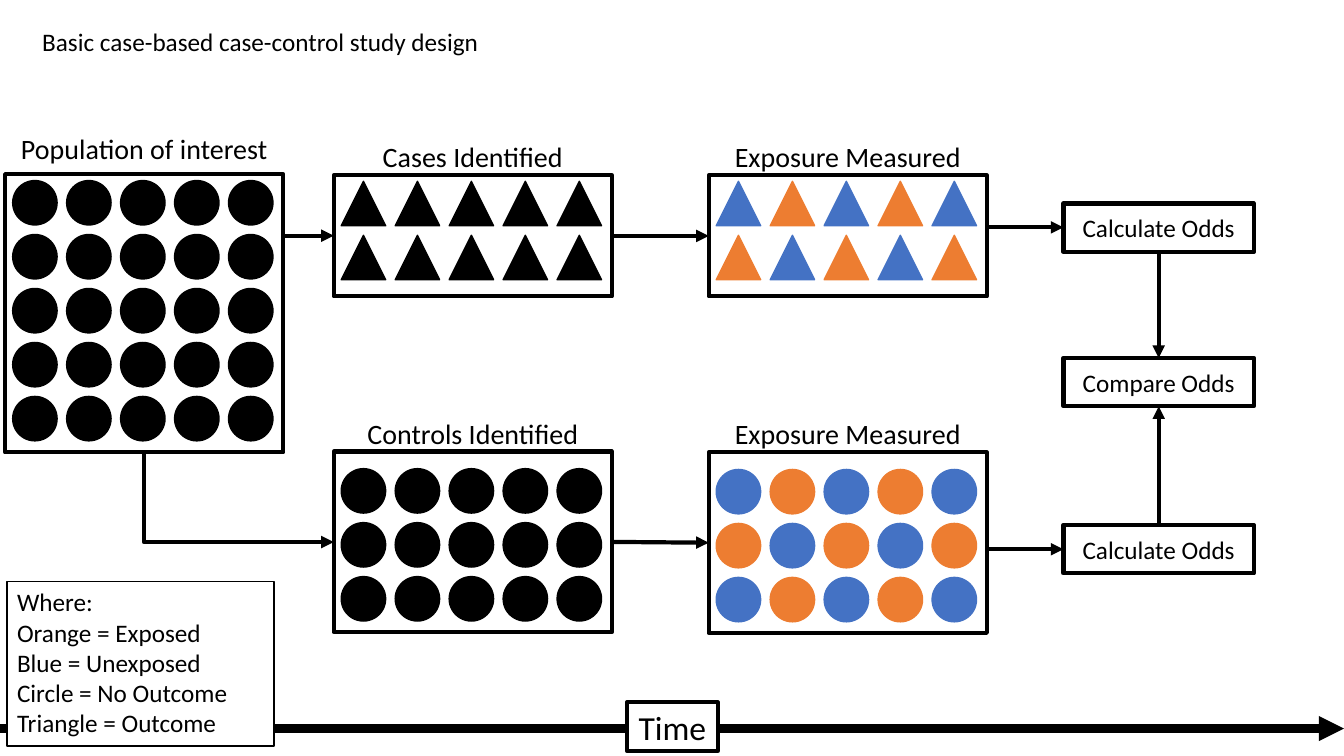
from dataclasses import dataclass
from itertools import product

from lxml import etree
from pptx import Presentation
from pptx.dml.color import RGBColor
from pptx.enum import shapes, text
from pptx.oxml import ns
from pptx.util import Cm, Pt

TOP, LEFT, BOTTOM, RIGHT = range(4)


@dataclass(frozen=True)
class Theme:
    font: str = "Calibri"
    black: RGBColor = RGBColor(0, 0, 0)
    white: RGBColor = RGBColor(255, 255, 255)
    exposed: RGBColor = RGBColor(0xED, 0x7D, 0x31)
    unexposed: RGBColor = RGBColor(0x44, 0x72, 0xC4)
    body: int = 18
    heading: int = 20
    axis: int = 24
    thin: int = 1
    frame: int = 3
    thick: int = 6


THEME = Theme()
CIRCLE = shapes.MSO_SHAPE.OVAL
TRIANGLE = shapes.MSO_SHAPE.ISOSCELES_TRIANGLE
MARK_SIZE, MARK_PITCH, MARK_INSET = 1.12, 1.36, 0.19
PANEL_WIDTH = 7.01


def write(shape, content, size=THEME.body, align=text.PP_ALIGN.CENTER,
          anchor=text.MSO_ANCHOR.MIDDLE, wrap=True):
    frame = shape.text_frame
    frame.text = content
    frame.word_wrap = wrap
    frame.auto_size = text.MSO_AUTO_SIZE.NONE
    frame.vertical_anchor = anchor
    for para in frame.paragraphs:
        para.alignment = align
        for span in para.runs:
            span.font.name = THEME.font
            span.font.size = Pt(size)
            span.font.color.rgb = THEME.black


def place(shape, left, top, width, height):
    shape.left, shape.top = Cm(left), Cm(top)
    shape.width, shape.height = Cm(width), Cm(height)


def add_shape(parent, kind, left, top, width, height,
              fill=None, line=THEME.black, weight=THEME.frame):
    shape = parent.shapes.add_shape(kind, Cm(left), Cm(top), Cm(width), Cm(height))
    shape.shadow.inherit = False
    if fill is None:
        shape.fill.background()
    else:
        shape.fill.solid()
        shape.fill.fore_color.rgb = fill
    shape.line.color.rgb = line
    shape.line.width = Pt(weight)
    return shape


def add_box(page, content, left, top, width, height, fill=None,
            weight=THEME.frame, **text_format):
    box = add_shape(page, shapes.MSO_SHAPE.RECTANGLE, left, top, width, height,
                    fill=fill, weight=weight)
    write(box, content, **text_format)
    return box


def all_black(row, column):
    return THEME.black


def alternating(row, column):
    return THEME.exposed if (row + column) % 2 else THEME.unexposed


def add_panel(page, heading, left, top, height, mark, rows, inset,
              colour=all_black, lift=1.02):
    group = page.shapes.add_group_shape()
    frame = add_shape(group, shapes.MSO_SHAPE.RECTANGLE, left, top, PANEL_WIDTH, height)
    for row, column in product(range(rows), range(5)):
        shade = colour(row, column)
        add_shape(group, mark, left + MARK_INSET + column * MARK_PITCH,
                  top + inset + row * MARK_PITCH, MARK_SIZE, MARK_SIZE,
                  fill=shade, line=shade, weight=THEME.thin)
    label = group.shapes.add_textbox(Cm(left), Cm(top - lift), Cm(PANEL_WIDTH), Cm(1.11))
    write(label, heading, size=THEME.heading, anchor=text.MSO_ANCHOR.TOP, wrap=False)
    return frame


def add_arrow(page, start, end, kind=shapes.MSO_CONNECTOR.STRAIGHT, weight=THEME.frame):
    arrow = page.shapes.add_connector(kind, *map(Cm, start + end))
    arrow.line.color.rgb = THEME.black
    arrow.line.width = Pt(weight)
    outline = arrow.line._get_or_add_ln()
    etree.SubElement(outline, ns.qn("a:tailEnd"), type="triangle")
    etree.SubElement(arrow._element.spPr, ns.qn("a:effectLst"))
    return arrow


def link(page, source, source_site, target, target_site):
    arrow = add_arrow(page, (0, 0), (1, 1))
    arrow.begin_connect(source, source_site)
    arrow.end_connect(target, target_site)


def add_corner_arrow(page, start, end):
    across, down = end[0] - start[0], end[1] - start[1]
    middle_x, middle_y = (start[0] + end[0]) / 2, (start[1] + end[1]) / 2
    arrow = add_arrow(page, (middle_x + down / 2, middle_y - across / 2),
                      (middle_x - down / 2, middle_y + across / 2),
                      kind=shapes.MSO_CONNECTOR.ELBOW)
    properties = arrow._element.spPr
    properties.find(ns.qn("a:xfrm")).set("rot", str(270 * 60000))
    properties.find(ns.qn("a:prstGeom")).set("prst", "bentConnector2")


def main():
    deck = Presentation()
    deck.slide_width, deck.slide_height = Cm(33.87), Cm(19.05)
    page = deck.slides.add_slide(deck.slide_layouts[5])

    title = page.shapes.title
    place(title, 0.81, 0.53, 11.63, 1.02)
    write(title, "Basic case-based case-control study design",
          align=text.PP_ALIGN.LEFT, anchor=text.MSO_ANCHOR.TOP, wrap=False)

    add_arrow(page, (0, 18.36), (33.87, 18.36), weight=THEME.thick)
    add_box(page, "Time", 15.8, 17.7, 2.29, 1.22, fill=THEME.white,
            size=THEME.axis, wrap=False)

    add_panel(page, "Population of interest", 0.13, 4.39, 7.01, CIRCLE, 5, 0.16, lift=1.19)
    cases = add_panel(page, "Cases Identified", 8.41, 4.42, 3.05, TRIANGLE, 2, 0.15)
    case_exposure = add_panel(page, "Exposure Measured", 17.86, 4.42, 3.05,
                              TRIANGLE, 2, 0.15, colour=alternating)
    controls = add_panel(page, "Controls Identified", 8.41, 11.38, 4.55, CIRCLE, 3, 0.43)
    control_exposure = add_panel(page, "Exposure Measured", 17.86, 11.4, 4.55,
                                 CIRCLE, 3, 0.43, colour=alternating)

    case_odds, comparison, control_odds = [
        add_box(page, content, 26.8, top, 4.8, 1.22)
        for content, top in (("Calculate Odds", 5.13), ("Compare Odds", 9.02),
                             ("Calculate Odds", 13.23))]

    add_arrow(page, (7.14, 5.94), (8.41, 5.94))
    add_corner_arrow(page, (3.63, 11.4), (8.41, 13.66))
    link(page, cases, RIGHT, case_exposure, LEFT)
    link(page, controls, RIGHT, control_exposure, LEFT)
    add_arrow(page, (24.88, 5.73), (26.8, 5.73))
    add_arrow(page, (24.88, 13.84), (26.8, 13.84))
    link(page, case_odds, BOTTOM, comparison, TOP)
    link(page, control_odds, TOP, comparison, BOTTOM)

    legend = ("Where:", "Orange = Exposed", "Blue = Unexposed",
              "Circle = No Outcome", "Triangle = Outcome")
    add_box(page, "\n".join(legend), 0.18, 14.66, 6.73, 4.14, fill=THEME.white,
            weight=THEME.thin, align=text.PP_ALIGN.LEFT, anchor=text.MSO_ANCHOR.TOP)

    deck.save("out.pptx")


main()
